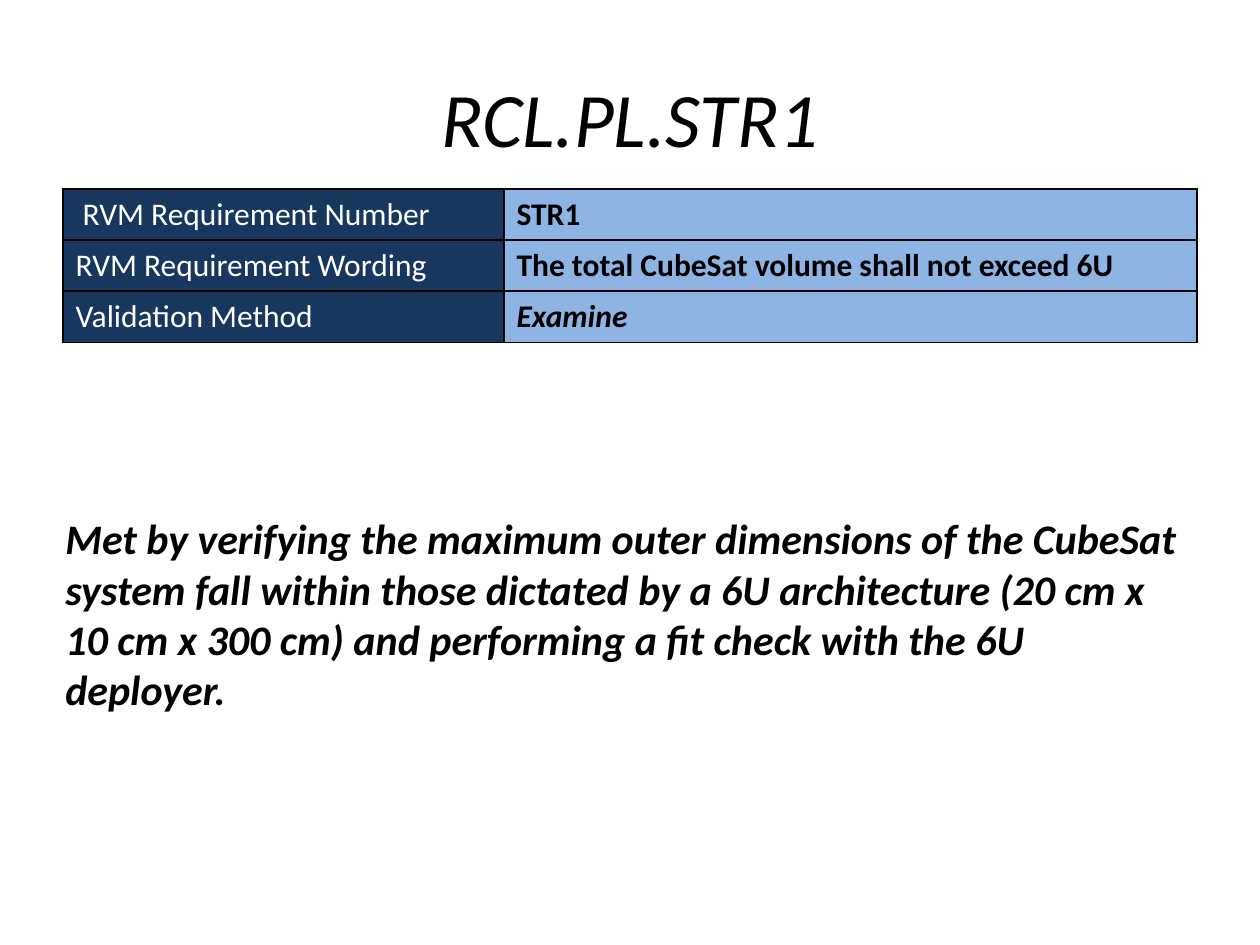
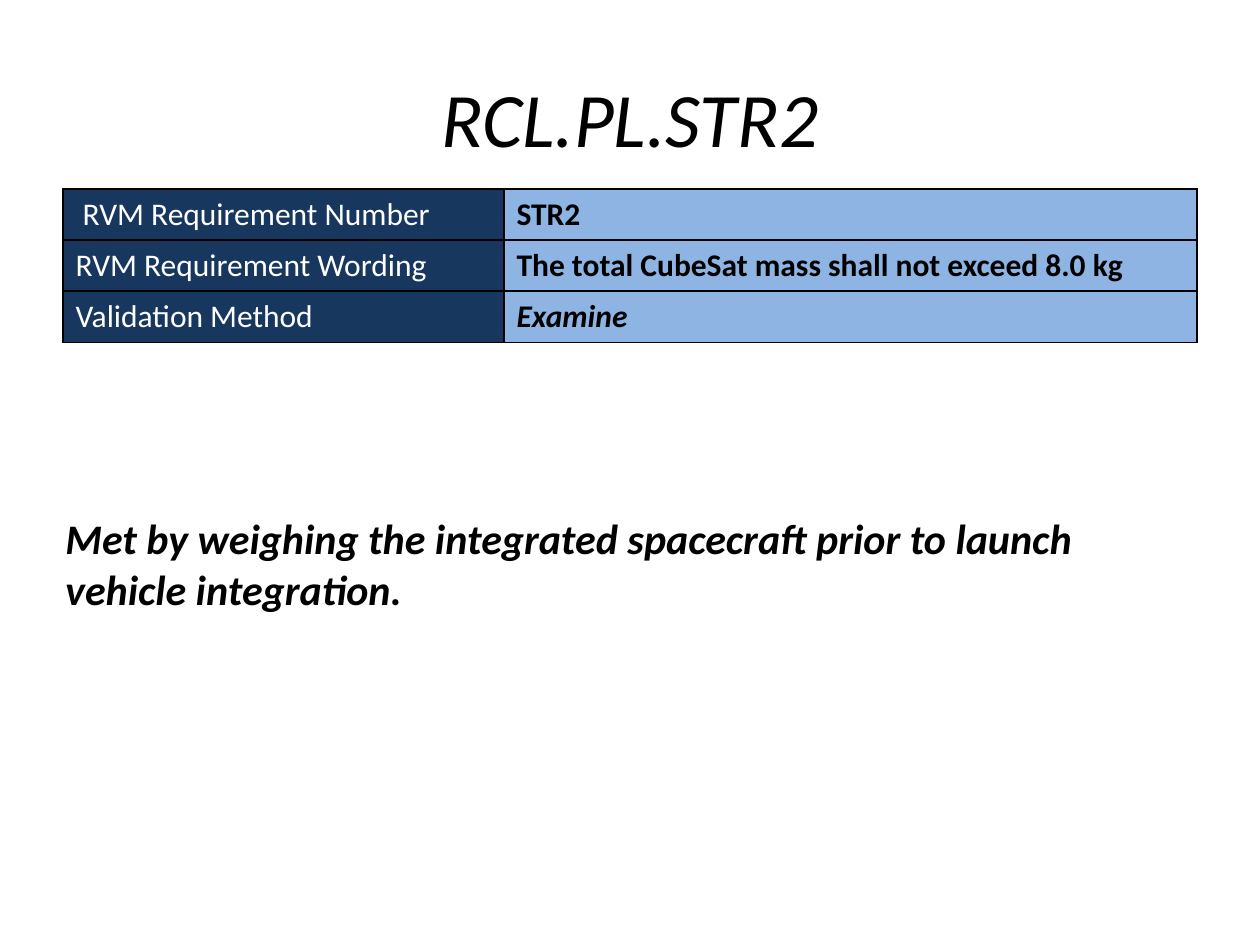
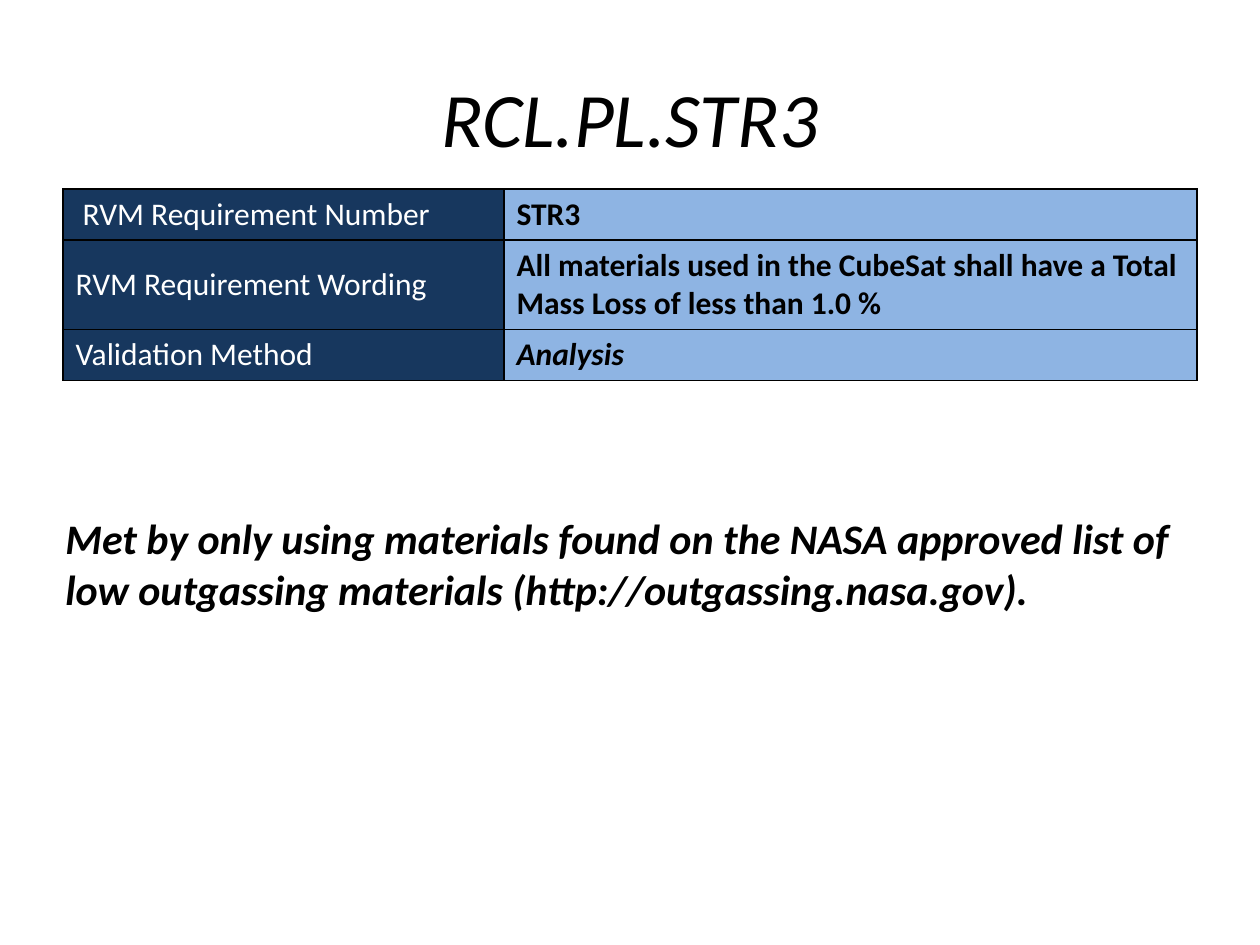
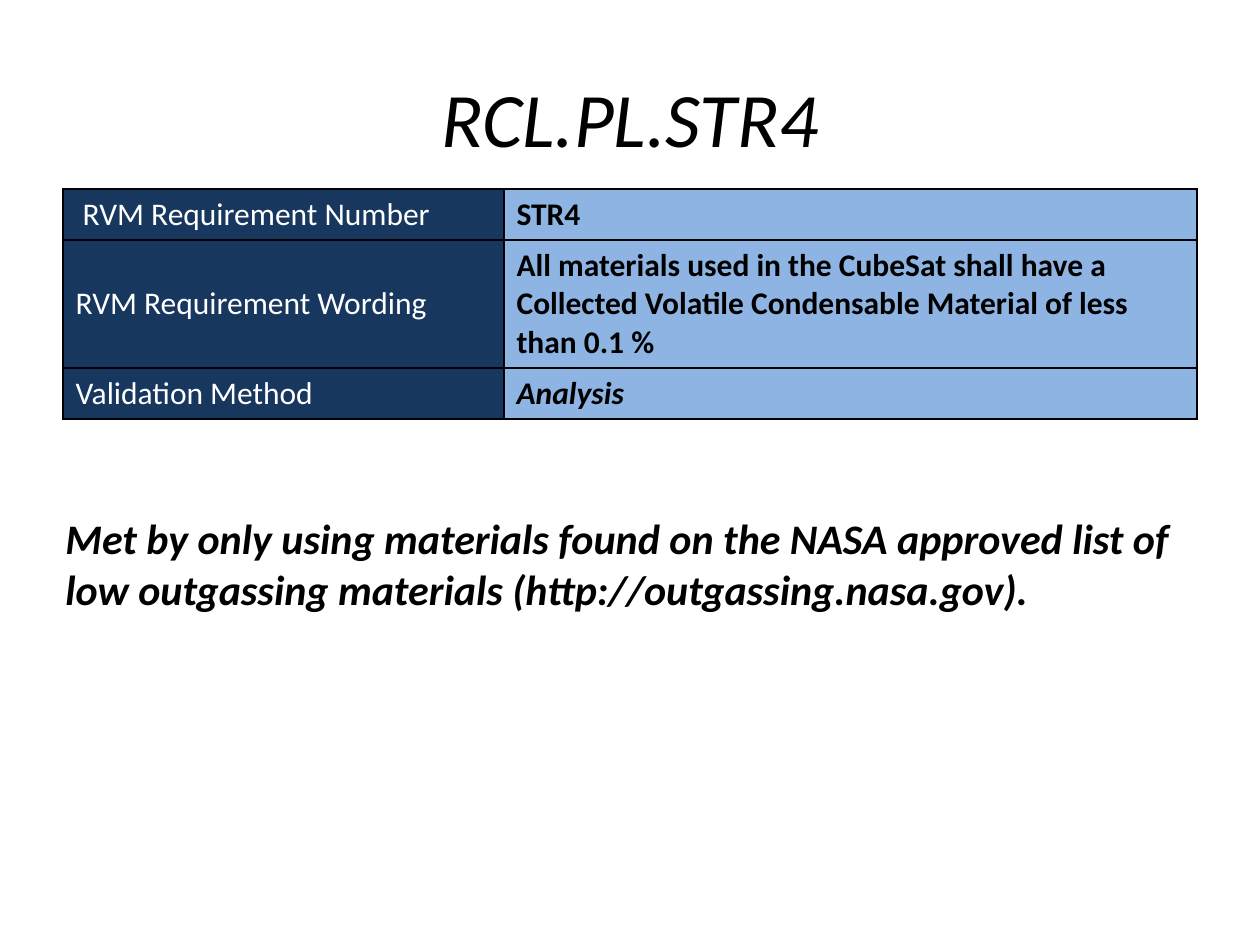
from dataclasses import dataclass

from lxml.etree import fromstring
from pptx import Presentation
from pptx.dml.color import RGBColor as Color
from pptx.enum.text import MSO_ANCHOR as Anchor, MSO_AUTO_SIZE as AutoSize, PP_ALIGN as Align
from pptx.oxml.ns import nsdecls
from pptx.util import Pt

EMU_PER_PX = 4572
TITLE_ONLY = 5


def px(length):
    return length * EMU_PER_PX


@dataclass(frozen=True)
class Theme:
    font: str = "Calibri"
    ink: str = "000000"
    label_ink: str = "FFFFFF"
    label_fill: str = "17375E"
    value_fill: str = "8EB4E3"
    title_size: int = 44
    cell_size: int = 18
    note_size: int = 24
    border_width: int = 1


@dataclass(frozen=True)
class Requirement:
    number: str
    wording: str
    wording_lines: int
    method: str
    evidence: str
    evidence_lines: int


class RequirementDeck:
    def __init__(self, theme):
        self.theme = theme
        self.deck = Presentation()
        self.deck.slide_width, self.deck.slide_height = px(2000), px(1500)
        self.page = None

    def new_page(self):
        layout = self.deck.slide_layouts[TITLE_ONLY]
        self.page = self.deck.slides.add_slide(layout)

    def set_text(self, frame, text, size, ink, bold=False, italic=False):
        frame.text = text
        para = frame.paragraphs[0]
        font = para.font
        font.name, font.size = self.theme.font, Pt(size)
        font.bold, font.italic = bold, italic
        font.color.rgb = Color.from_string(ink)
        return para

    def title(self, text):
        box = self.page.shapes.title
        box.left, box.top, box.width, box.height = px(100), px(60), px(1800), px(250)
        frame = box.text_frame
        frame.vertical_anchor = Anchor.MIDDLE
        para = self.set_text(frame, text, self.theme.title_size, self.theme.ink, italic=True)
        para.alignment = Align.CENTER

    def border(self, cell):
        properties = cell._tc.get_or_add_tcPr()
        width = Pt(self.theme.border_width)
        for index, side in enumerate("LRTB"):
            properties.insert(index, fromstring(
                f'<a:ln{side} {nsdecls("a")} w="{width}"><a:solidFill>'
                f'<a:srgbClr val="{self.theme.ink}"/></a:solidFill></a:ln{side}>'))

    def cell(self, cell, text, fill, ink, bold=False, italic=False):
        cell.fill.solid()
        cell.fill.fore_color.rgb = Color.from_string(fill)
        self.border(cell)
        self.set_text(cell.text_frame, text, self.theme.cell_size, ink, bold, italic)

    def requirement_table(self, requirement):
        theme = self.theme
        rows = (
            (" RVM Requirement Number", requirement.number, 1, False),
            ("RVM Requirement Wording", requirement.wording, requirement.wording_lines, False),
            ("Validation Method", requirement.method, 1, True),
        )
        table = self.page.shapes.add_table(
            len(rows), 2, px(100), px(300), px(1800), px(243)).table
        table.first_row = table.horz_banding = False
        table.columns[0].width, table.columns[1].width = px(700), px(1100)
        for index, (label, value, lines, italic) in enumerate(rows):
            table.rows[index].height = px(21 + 60 * lines)
            label_cell, value_cell = table.cell(index, 0), table.cell(index, 1)
            self.cell(label_cell, label, theme.label_fill, theme.label_ink)
            label_cell.vertical_anchor = Anchor.MIDDLE
            self.cell(value_cell, value, theme.value_fill, theme.ink, True, italic)

    def evidence(self, text, lines):
        box = self.page.shapes.add_textbox(px(84), px(804), px(1816), px(20 + 81 * lines))
        frame = box.text_frame
        frame.word_wrap = True
        frame.auto_size = AutoSize.SHAPE_TO_FIT_TEXT
        self.set_text(frame, text, self.theme.note_size, self.theme.ink, bold=True, italic=True)

    def requirement_page(self, requirement):
        self.new_page()
        self.title(f"RCL.PL.{requirement.number}")
        self.requirement_table(requirement)
        self.evidence(requirement.evidence, requirement.evidence_lines)


LOW_OUTGASSING = (
    "Met by only using materials found on the NASA approved list of "
    "low outgassing materials (http://outgassing.nasa.gov).")

REQUIREMENTS = (
    Requirement(
        "STR1", "The total CubeSat volume shall not exceed 6U", 1, "Examine",
        "Met by verifying the maximum outer dimensions of the CubeSat system fall within "
        "those dictated by a 6U architecture (20 cm x 10 cm x 300 cm) and performing "
        "a fit check with the 6U deployer.", 4),
    Requirement(
        "STR2", "The total CubeSat mass shall not exceed 8.0 kg", 1, "Examine",
        "Met by weighing the integrated spacecraft prior to launch vehicle integration.", 2),
    Requirement(
        "STR3",
        "All materials used in the CubeSat shall have a Total Mass Loss of less than 1.0 %",
        2, "Analysis", LOW_OUTGASSING, 2),
    Requirement(
        "STR4",
        "All materials used in the CubeSat shall have a Collected Volatile Condensable "
        "Material of less than 0.1 %",
        3, "Analysis", LOW_OUTGASSING, 2),
)


def main():
    builder = RequirementDeck(Theme())
    for requirement in REQUIREMENTS:
        builder.requirement_page(requirement)
    builder.deck.save("out.pptx")


if __name__ == "__main__":
    main()
